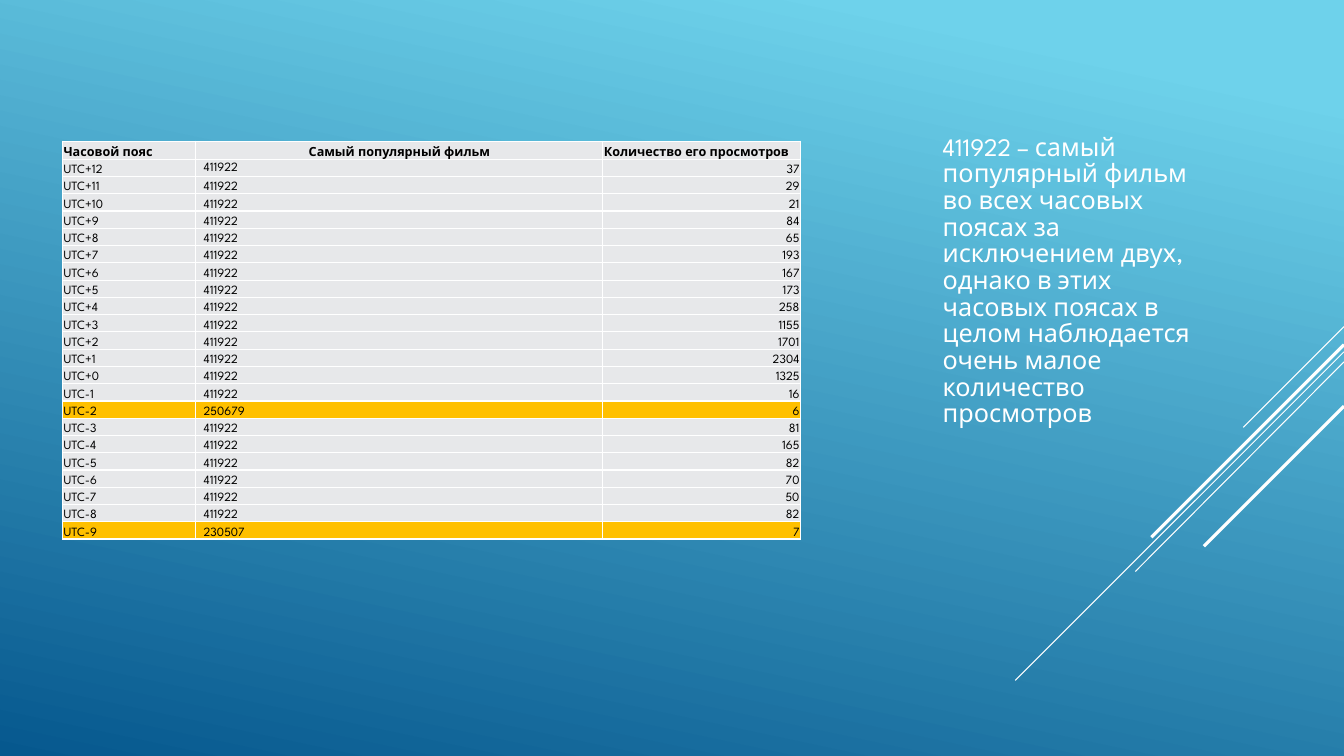
from lxml.etree import SubElement
from pptx import Presentation
from pptx.dml.color import RGBColor
from pptx.enum.shapes import MSO_CONNECTOR
from pptx.enum.text import MSO_ANCHOR as Anchor, PP_ALIGN as Align
from pptx.oxml.ns import qn
from pptx.util import Inches, Pt

COLORS = {
    "sky": "6ED2EB",
    "deep": "06588E",
    "white": "FFFFFF",
    "black": "000000",
    "row": "E7E8EA",
    "highlight": "FFC000",
}
FONT = "League Spartan"
HEADINGS = ["Часовой пояс", "Самый популярный фильм", "Количество его просмотров"]
VIEWS = [37, 29, 21, 84, 65, 193, 167, 173, 258, 1155, 1701, 2304, 1325,
         16, 6, 81, 165, 82, 70, 50, 82, 7]
TOP_FILM = "411922"
OTHER_FILMS = {-2: "250679", -9: "230507"}
CONCLUSION = (
    f"{TOP_FILM} – самый популярный фильм во всех часовых поясах за исключением двух, "
    "однако в этих часовых поясах в целом наблюдается очень малое количество просмотров"
)
RAYS = [
    (3.24, 12.33, 4.24, 0.75),
    (3.49, 10.07, 6.75, 0.75),
    (3.59, 11.26, 5.67, 0.75),
    (3.42, 11.42, 5.33, 2.25),
    (4.03, 11.94, 5.42, 2.25),
]


def rgb(name):
    return RGBColor.from_string(COLORS[name])


def format_runs(paragraph, size, color, bold=False):
    for run in paragraph.runs:
        run.font.name = FONT
        run.font.size = Pt(size)
        run.font.bold = bold
        run.font.color.rgb = rgb(color)


def paint_background(slide):
    fill = slide.background.fill
    fill.gradient()
    fill.gradient_angle = 258
    for stop, position, color in zip(fill.gradient_stops, (0.1, 1), ("sky", "deep")):
        stop.position = position
        stop.color.rgb = rgb(color)


def add_ray(slide, start_y, end_x, end_y, width):
    ray = slide.shapes.add_connector(
        MSO_CONNECTOR.STRAIGHT, Inches(13.33), Inches(start_y), Inches(end_x), Inches(end_y))
    ray.line.color.rgb = rgb("white")
    ray.line.width = Pt(width)
    SubElement(ray._element.spPr, qn("a:effectLst"))


def write_conclusion(body):
    body.left, body.top = Inches(9.25), Inches(1.29)
    body.width, body.height = Inches(2.66), Inches(5.98)
    frame = body.text_frame
    frame.text = CONCLUSION
    frame.word_wrap = True
    frame.vertical_anchor = Anchor.TOP
    paragraph = frame.paragraphs[0]
    paragraph.line_spacing = 0.88
    paragraph.space_after = Pt(6)
    format_runs(paragraph, 18, "white")


def add_borders(cell):
    properties = cell._tc.get_or_add_tcPr()
    for side in ("lnL", "lnR", "lnT", "lnB"):
        border = SubElement(properties, qn(f"a:{side}"), w=str(Pt(1)))
        SubElement(SubElement(border, qn("a:solidFill")), qn("a:srgbClr"), val=COLORS["white"])


def write_cell(cell, text, fill, align, inset=0.01, bold=False):
    add_borders(cell)
    cell.fill.solid()
    cell.fill.fore_color.rgb = rgb(fill)
    cell.margin_left = Inches(inset)
    cell.margin_top = cell.margin_right = Inches(0.01)
    cell.margin_bottom = 0
    cell.vertical_anchor = Anchor.BOTTOM
    paragraph = cell.text_frame.paragraphs[0]
    paragraph.text = text
    paragraph.alignment = align
    format_runs(paragraph, 9, "black", bold)


def add_views_table(slide):
    table = slide.shapes.add_table(
        len(VIEWS) + 1, len(HEADINGS), Inches(0.62), Inches(1.4), Inches(7.32), Inches(3.95)).table
    for column, width in zip(table.columns, (1.32, 4.04, 1.96)):
        column.width = Inches(width)
    for row in table.rows:
        row.height = Inches(3.77 / len(VIEWS))
    table.rows[0].height = Inches(0.18)

    for column, (heading, align) in enumerate(zip(HEADINGS, (Align.LEFT, Align.CENTER, Align.LEFT))):
        write_cell(table.cell(0, column), heading, "row", align, bold=True)
    for row, views in enumerate(VIEWS, start=1):
        offset = 13 - row
        zone = f"UTC{offset:+d}"
        film = OTHER_FILMS.get(offset, TOP_FILM)
        fill = "highlight" if offset in OTHER_FILMS else "row"
        write_cell(table.cell(row, 0), zone, fill, Align.LEFT)
        write_cell(table.cell(row, 1), film, fill, Align.LEFT, inset=0.08)
        write_cell(table.cell(row, 2), str(views), fill, Align.RIGHT)
    table.cell(1, 1).vertical_anchor = Anchor.MIDDLE


def main():
    deck = Presentation()
    deck.slide_width, deck.slide_height = Inches(13.33), Inches(7.5)
    slide = deck.slides.add_slide(deck.slide_layouts[7])
    paint_background(slide)
    for ray in RAYS:
        add_ray(slide, *ray)
    for unused in (slide.shapes.title, slide.placeholders[1]):
        unused._element.getparent().remove(unused._element)
    write_conclusion(slide.placeholders[2])
    add_views_table(slide)
    deck.save("out.pptx")


main()
